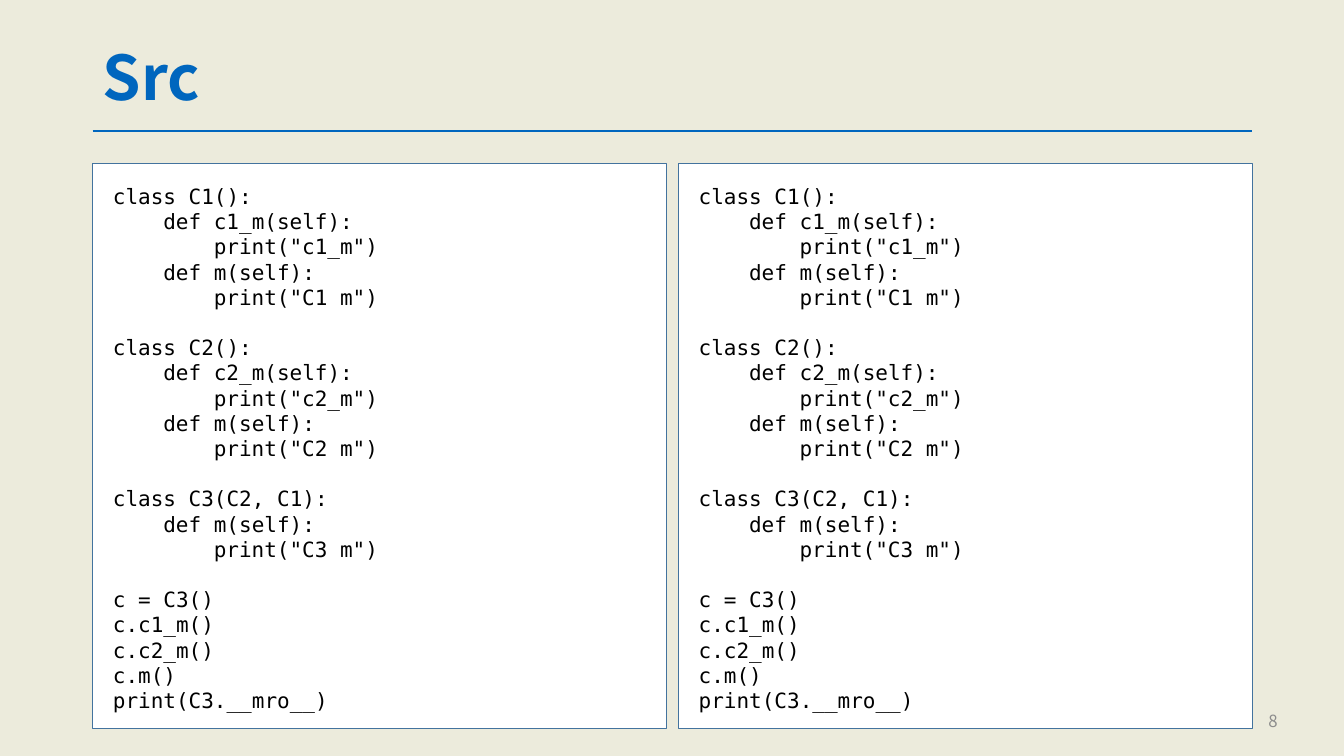
from pptx import Presentation
from pptx.dml.color import RGBColor
from pptx.enum.shapes import MSO_CONNECTOR, MSO_SHAPE
from pptx.enum.text import MSO_ANCHOR, PP_ALIGN
from pptx.util import Inches, Pt
from lxml import etree

STRAIGHT = MSO_CONNECTOR.STRAIGHT
RECTANGLE = MSO_SHAPE.RECTANGLE
TOP, MIDDLE = MSO_ANCHOR.TOP, MSO_ANCHOR.MIDDLE
LEFT, RIGHT = PP_ALIGN.LEFT, PP_ALIGN.RIGHT
DRAWING = "{http://schemas.openxmlformats.org/drawingml/2006/main}"
COLORS = {
    "background": "ECEBDC",
    "accent": "0066BE",
    "panel": "FFFFFF",
    "border": "43739E",
    "code": "000000",
    "number": "8C8C8C",
}
HEADING_FONT = "Noto Sans CJK KR"
CODE_FONT = "DejaVu Sans Mono"
CODE_BLOCKS = [
    [(0, "class C1():"), (1, "def c1_m(self):"), (2, 'print("c1_m")'),
     (1, "def m(self):"), (2, 'print("C1 m")')],
    [(0, "class C2():"), (1, "def c2_m(self):"), (2, 'print("c2_m")'),
     (1, "def m(self):"), (2, 'print("C2 m")')],
    [(0, "class C3(C2, C1):"), (1, "def m(self):"), (2, 'print("C3 m")')],
    [(0, "c = C3()"), (0, "c.c1_m()"), (0, "c.c2_m()"), (0, "c.m()"),
     (0, "print(C3.__mro__)")],
]


def color(name):
    return RGBColor.from_string(COLORS[name])


def style(paragraph, font_name, size, color_name, alignment=LEFT, bold=False):
    paragraph.alignment = alignment
    for run in paragraph.runs:
        run.font.name = font_name
        run.font.size = Pt(size)
        run.font.bold = bold
        run.font.color.rgb = color(color_name)


presentation = Presentation()
presentation.slide_width = Inches(13.33)
presentation.slide_height = Inches(7.5)
slide = presentation.slides.add_slide(presentation.slide_layouts[6])
slide.background.fill.solid()
slide.background.fill.fore_color.rgb = color("background")

rule = slide.shapes.add_connector(
    STRAIGHT, Inches(0.92), Inches(1.3), Inches(12.42), Inches(1.3))
rule.line.color.rgb = color("accent")
rule.line.width = Pt(1.5)
etree.SubElement(rule._element.spPr, DRAWING + "effectLst")

title = slide.shapes.add_textbox(Inches(0.92), Inches(0.4), Inches(11.5), Inches(0.8))
title.text_frame.word_wrap = True
title.text_frame.vertical_anchor = MIDDLE
title.text_frame.text = "Src"
title.text_frame.paragraphs[0].line_spacing = 0.9
style(title.text_frame.paragraphs[0], HEADING_FONT, 44, "accent", bold=True)

for panel_left in (0.92, 6.73):
    panel = slide.shapes.add_shape(
        RECTANGLE, Inches(panel_left), Inches(1.62), Inches(5.69), Inches(5.61))
    panel.shadow.inherit = False
    panel.fill.solid()
    panel.fill.fore_color.rgb = color("panel")
    panel.line.color.rgb = color("border")
    panel.line.width = Pt(1)
    frame = panel.text_frame
    frame.word_wrap = True
    frame.vertical_anchor = TOP
    frame.margin_left = frame.margin_right = Inches(0.2)
    frame.margin_top = frame.margin_bottom = Inches(0.2)
    frame.text = "\n".join(line for block in CODE_BLOCKS for depth, line in block)
    paragraphs = iter(frame.paragraphs)
    for block_index, block in enumerate(CODE_BLOCKS):
        for line_index, (depth, line) in enumerate(block):
            paragraph = next(paragraphs)
            style(paragraph, CODE_FONT, 15, "code")
            paragraph._p.get_or_add_pPr().set("marL", str(Inches(0.5 * depth)))
            if block_index and line_index == 0:
                paragraph.space_before = Pt(18)

number = slide.shapes.add_textbox(Inches(9.77), Inches(6.95), Inches(3), Inches(0.4))
number.text_frame.word_wrap = True
number.text_frame.vertical_anchor = MIDDLE
number.text_frame.text = "8"
style(number.text_frame.paragraphs[0], HEADING_FONT, 12, "number", RIGHT)

presentation.save("out.pptx")
